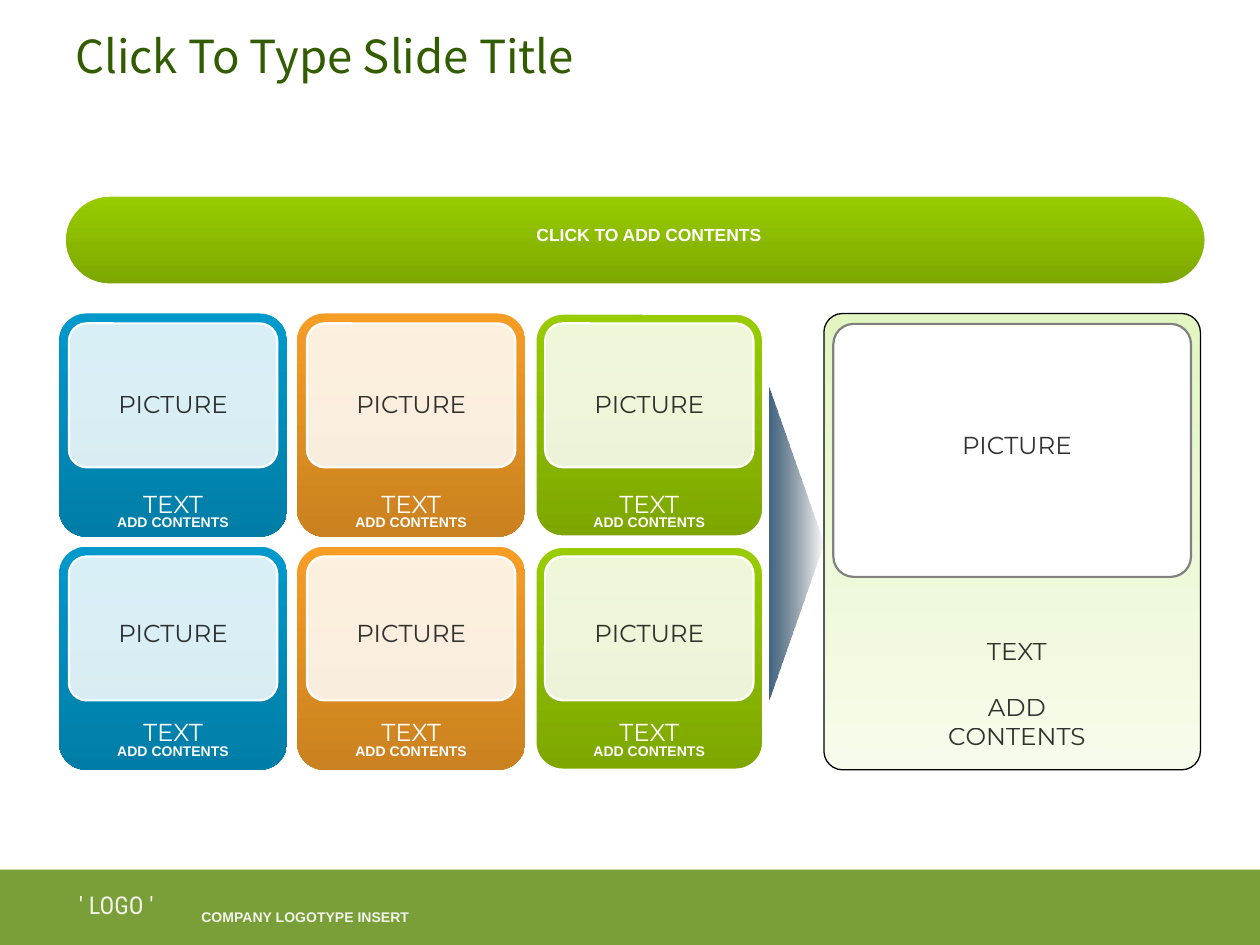
from lxml.etree import SubElement
from pptx import Presentation
from pptx.dml.color import RGBColor
from pptx.enum.shapes import MSO_SHAPE
from pptx.enum.text import MSO_ANCHOR, PP_ALIGN
from pptx.oxml.ns import qn
from pptx.util import Cm, Pt

rgb = RGBColor.from_string

presentation = Presentation()
presentation.slide_width, presentation.slide_height = Cm(25.4), Cm(19.05)
slide = presentation.slides.add_slide(presentation.slide_layouts[6])


def add_block(kind, left, top, width, height, colors, line=None, line_width=1.25,
              radius=None, alphas=(100,), angle=270):
    """Add a shape filled with one colour, or with a gradient of two."""
    block = slide.shapes.add_shape(kind, Cm(left), Cm(top), Cm(width), Cm(height))
    block.shadow.inherit = False
    if radius is not None:
        block.adjustments[0] = radius
    if len(colors) == 1:
        block.fill.solid()
        block.fill.fore_color.rgb = rgb(colors[0])
    else:
        block.fill.gradient()
        block.fill.gradient_angle = angle
        for stop, color in zip(block.fill.gradient_stops, colors):
            stop.color.rgb = rgb(color)
    for color_xml, alpha in zip(block._element.spPr.iter(qn("a:srgbClr")), alphas):
        if alpha < 100:
            SubElement(color_xml, qn("a:alpha"), val=str(alpha * 1000))
    if line:
        block.line.color.rgb = rgb(line)
        block.line.width = Pt(line_width)
    else:
        block.line.fill.background()
    return block


def add_text(text, left, top, width, height, size=14, font="Montserrat", color="000000",
             alpha=100, bold=False, align=PP_ALIGN.CENTER, anchor=MSO_ANCHOR.TOP,
             wrap=False, inset=0.13):
    box = slide.shapes.add_textbox(Cm(left), Cm(top), Cm(width), Cm(height))
    frame = box.text_frame
    frame.word_wrap = wrap
    frame.vertical_anchor = anchor
    frame.margin_top = frame.margin_bottom = Cm(inset)
    paragraph = frame.paragraphs[0]
    paragraph.alignment = align
    run = paragraph.add_run()
    run.text = text
    run.font.size, run.font.name, run.font.bold = Pt(size), font, bold
    run.font.color.rgb = rgb(color)
    properties = run._r.get_or_add_rPr()
    SubElement(properties, qn("a:ea"), typeface=font)
    if alpha < 100:
        SubElement(properties.find(".//" + qn("a:srgbClr")), qn("a:alpha"), val=str(alpha * 1000))


# Footer
add_block(MSO_SHAPE.RECTANGLE, 0, 17.53, 25.4, 1.52, ["7A9E38"])
add_text("' LOGO '", 0.91, 17.81, 2.87, 0.71, font="Roboto Condensed", color="FFFFFF", alpha=90)
add_text("COMPANY LOGOTYPE INSERT", 3.81, 18.26, 5, 0.4, size=8, font="Arial", color="FFFFFF",
         alpha=90, bold=True, align=PP_ALIGN.LEFT, wrap=True, inset=0.05)

# Title
add_text("Click To Type Slide Title", 1.27, 0.53, 22.86, 1.17, size=26, font="Noto Sans CJK KR",
         color="325C00", align=PP_ALIGN.LEFT, anchor=MSO_ANCHOR.MIDDLE, wrap=True)

# Heading bar
add_block(MSO_SHAPE.ROUNDED_RECTANGLE, 1.3, 3.94, 23.01, 1.8, ["99CC00", "7DA700"],
          line="FFFFFF", line_width=1.5, radius=0.5)
add_text("CLICK TO ADD CONTENTS", 7.67, 4.39, 10.82, 0.71, size=10, font="Arial",
         color="FFFFFF", bold=True)

# Cards: three colours across, two rows down
card_width, card_height = 4.6, 4.5
column_styles = [
    (["0099CC", "007DA7"], None),
    (["F69D26", "CA811F"], None),
    (["99CC00", "7DA700"], "FFFFFF"),
]
for column, (gradient, outline) in enumerate(column_styles):
    left = 1.19 + 4.8 * column
    for row in range(2):
        top = 6.32 + 4.7 * row
        label_shift = 4.6 * row
        add_block(MSO_SHAPE.ROUNDED_RECTANGLE, left, top, card_width, card_height, gradient,
                  line=outline, line_width=1.5, radius=0.123)
        add_block(MSO_SHAPE.ROUNDED_RECTANGLE, left + 0.2, top + 0.2, card_width - 0.4, 2.9,
                  ["FFFFFF"], line="FFFFFF", radius=0.123, alphas=(85,))
        add_text("PICTURE", left, 7.72 + label_shift, card_width, 0.58, alpha=80)
        add_text("TEXT", left, 9.73 + label_shift, card_width, 0.46, color="FFFFFF")
        add_text("ADD CONTENTS", left, 10.26 + label_shift, card_width, 0.25, size=8,
                 font="Arial", color="FFFFFF", bold=True, inset=0.1)

# Result panel
add_block(MSO_SHAPE.ROUNDED_RECTANGLE, 16.61, 6.32, 7.59, 9.2, ["E3F6C2", "F6FCEB"],
          line="000000", line_width=0.75, radius=0.05)
add_block(MSO_SHAPE.ROUNDED_RECTANGLE, 16.8, 6.53, 7.21, 5.1, ["FFFFFF"],
          line="808080", radius=0.08)
for label, top in [("PICTURE", 8.53), ("TEXT", 12.7), ("ADD CONTENTS", 13.82)]:
    add_text(label, 18.3, top, 4.4, 0.8, alpha=80)

# Fading pointer from the cards to the panel, its gradient kept level
pointer = add_block(MSO_SHAPE.ISOSCELES_TRIANGLE, 12.9, 10.41, 6.3, 1.09, ["416483", "1E2E3D"],
                    alphas=(100, 0), angle=0)
pointer.rotation = 90
pointer._element.spPr.find(qn("a:gradFill")).set("rotWithShape", "0")

presentation.save("out.pptx")
